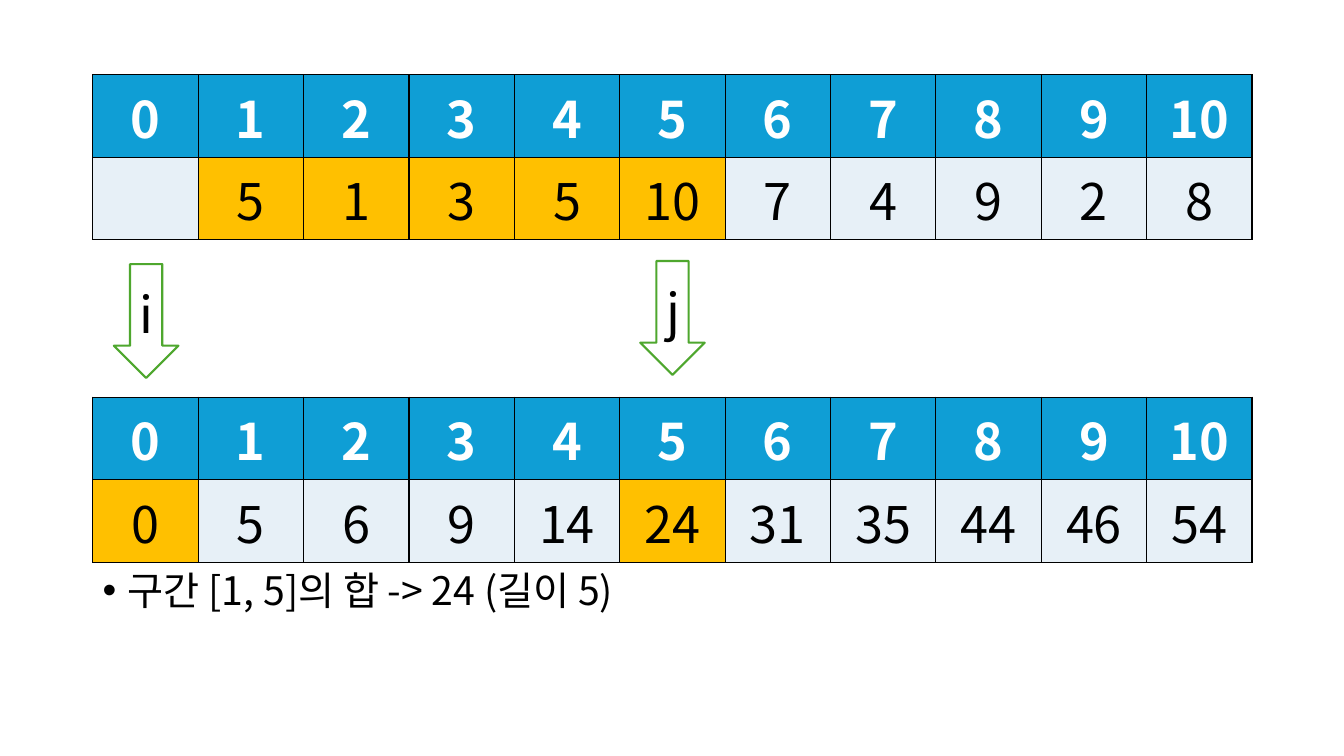
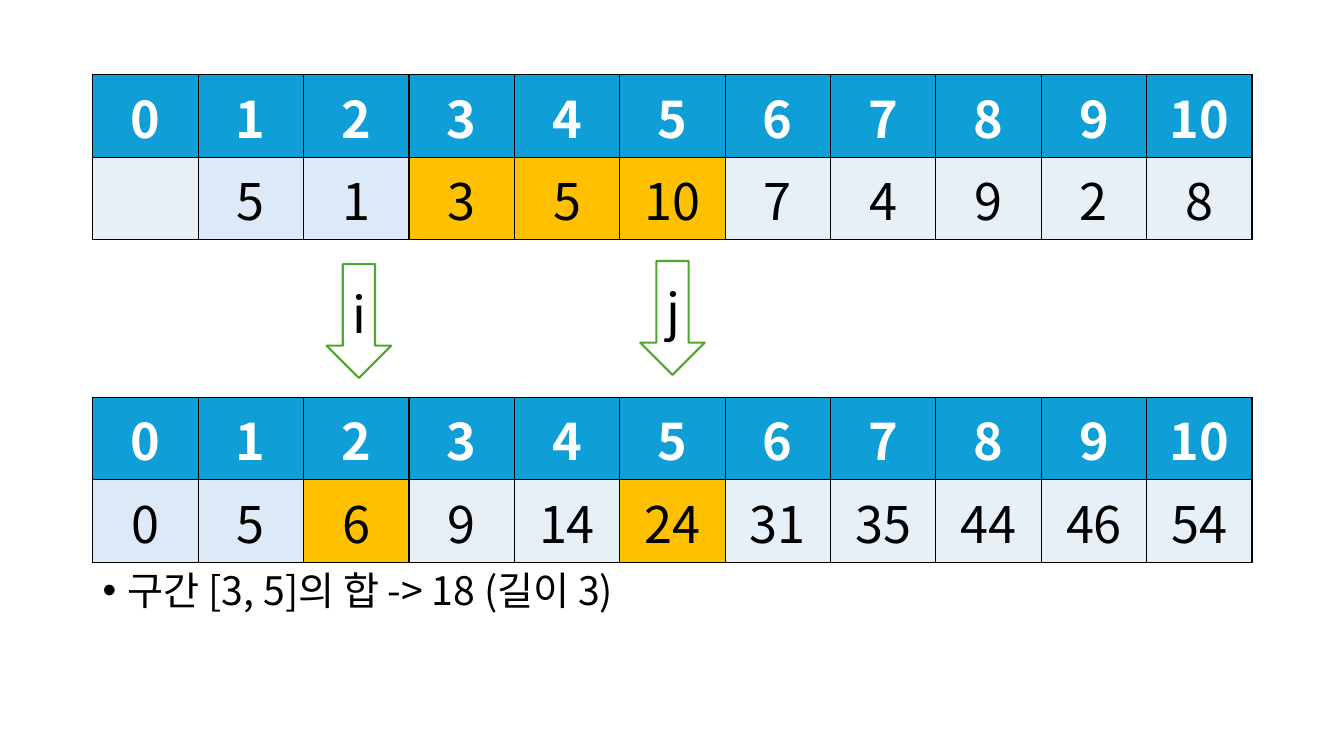
from itertools import accumulate

from lxml import etree
from pptx import Presentation
from pptx.dml.color import RGBColor
from pptx.enum.shapes import MSO_SHAPE
from pptx.enum.text import MSO_ANCHOR, PP_ALIGN
from pptx.oxml.ns import qn
from pptx.util import Inches, Pt

DOWN = MSO_SHAPE.DOWN_ARROW
MIDDLE = MSO_ANCHOR.MIDDLE
CENTER = PP_ALIGN.CENTER

FONT = "Noto Sans CJK KR"
BLACK = RGBColor(0x00, 0x00, 0x00)
WHITE = RGBColor(0xFF, 0xFF, 0xFF)
BLUE = RGBColor(0x0F, 0x9E, 0xD5)
GOLD = RGBColor(0xFF, 0xC0, 0x00)
GREEN = RGBColor(0x4E, 0xA7, 0x2E)
PALE = RGBColor(0xE7, 0xF0, 0xF7)
PASSED = RGBColor(0xDC, 0xEA, 0xF7)

LEFT, WIDTH = 0.92, 11.5
ROW = 0.82
NUMBERS = [5, 1, 3, 5, 10, 7, 4, 9, 2, 8]
SUMS = list(accumulate(NUMBERS, initial=0))


def style(para, size, color=BLACK, bold=False):
    font = para.font
    font.name, font.size, font.bold = FONT, Pt(size), bold
    font.color.rgb = color
    props = para._p.get_or_add_pPr().find(qn("a:defRPr"))
    etree.SubElement(props, qn("a:ea"), typeface=FONT)


def add_border(cell):
    props = cell._tc.get_or_add_tcPr()
    for side in ("lnL", "lnR", "lnT", "lnB"):
        line = etree.SubElement(props, qn(f"a:{side}"), w=str(Pt(1)))
        fill = etree.SubElement(line, qn("a:solidFill"))
        etree.SubElement(fill, qn("a:srgbClr"), val=str(BLACK))


def fill_cell(cell, value, fill, color=BLACK, bold=False):
    add_border(cell)
    cell.fill.solid()
    cell.fill.fore_color.rgb = fill
    cell.vertical_anchor = MIDDLE
    cell.text = str(value)
    para = cell.text_frame.paragraphs[0]
    para.alignment = CENTER
    style(para, 36, color, bold)


def add_array(slide, top, values, marked, passed):
    """Draw indexes above values, with the marked and passed cells tinted."""
    count = len(values)
    table = slide.shapes.add_table(
        2, count, Inches(LEFT), Inches(top), Inches(WIDTH), Inches(2 * ROW)
    ).table
    for row in table.rows:
        row.height = Inches(ROW)
    for k, value in enumerate(values):
        table.columns[k].width = Inches(WIDTH / count)
        fill_cell(table.cell(0, k), k, BLUE, WHITE, True)
        fill = GOLD if k in marked else PASSED if k in passed else PALE
        fill_cell(table.cell(1, k), value, fill)


def add_arrow(slide, label, left, top):
    arrow = slide.shapes.add_shape(
        DOWN, Inches(left), Inches(top), Inches(0.64), Inches(1.13)
    )
    arrow.shadow.inherit = False
    arrow.fill.solid()
    arrow.fill.fore_color.rgb = WHITE
    arrow.line.color.rgb = GREEN
    arrow.line.width = Pt(1.5)
    frame = arrow.text_frame
    frame.vertical_anchor = MIDDLE
    para = frame.paragraphs[0]
    para.text = label
    para.alignment = CENTER
    style(para, 36)


def add_bullet(slide, text):
    box = slide.shapes.add_textbox(
        Inches(LEFT), Inches(5.62), Inches(WIDTH), Inches(1.14)
    )
    box.text_frame.word_wrap = True
    para = box.text_frame.paragraphs[0]
    para.text = text
    para.line_spacing = 0.9
    props = para._p.get_or_add_pPr()
    props.set("marL", str(Inches(0.25)))
    props.set("indent", str(Inches(-0.25)))
    etree.SubElement(props, qn("a:buFont"), typeface="Arial")
    etree.SubElement(props, qn("a:buChar"), char="•")
    style(para, 28)


def add_step(deck, i, j, i_left):
    """Show the sum of items i + 1 to j as a difference of two prefix sums."""
    slide = deck.slides.add_slide(deck.slide_layouts[6])
    total = SUMS[j] - SUMS[i]
    add_bullet(slide, f"구간 [{i + 1}, {j}]의 합 -> {total} (길이 {j - i})")
    add_array(slide, 3.94, SUMS, (i, j), range(i))
    add_arrow(slide, "i", i_left, 2.62)
    add_arrow(slide, "j", 6.35, 2.59)
    add_array(slide, 0.74, ["", *NUMBERS], range(i + 1, j + 1), range(1, i + 1))


def main():
    deck = Presentation()
    deck.slide_width, deck.slide_height = Inches(13.33), Inches(7.5)
    add_step(deck, 0, 5, 1.13)
    add_step(deck, 2, 5, 3.24)
    deck.save("out.pptx")


if __name__ == "__main__":
    main()
